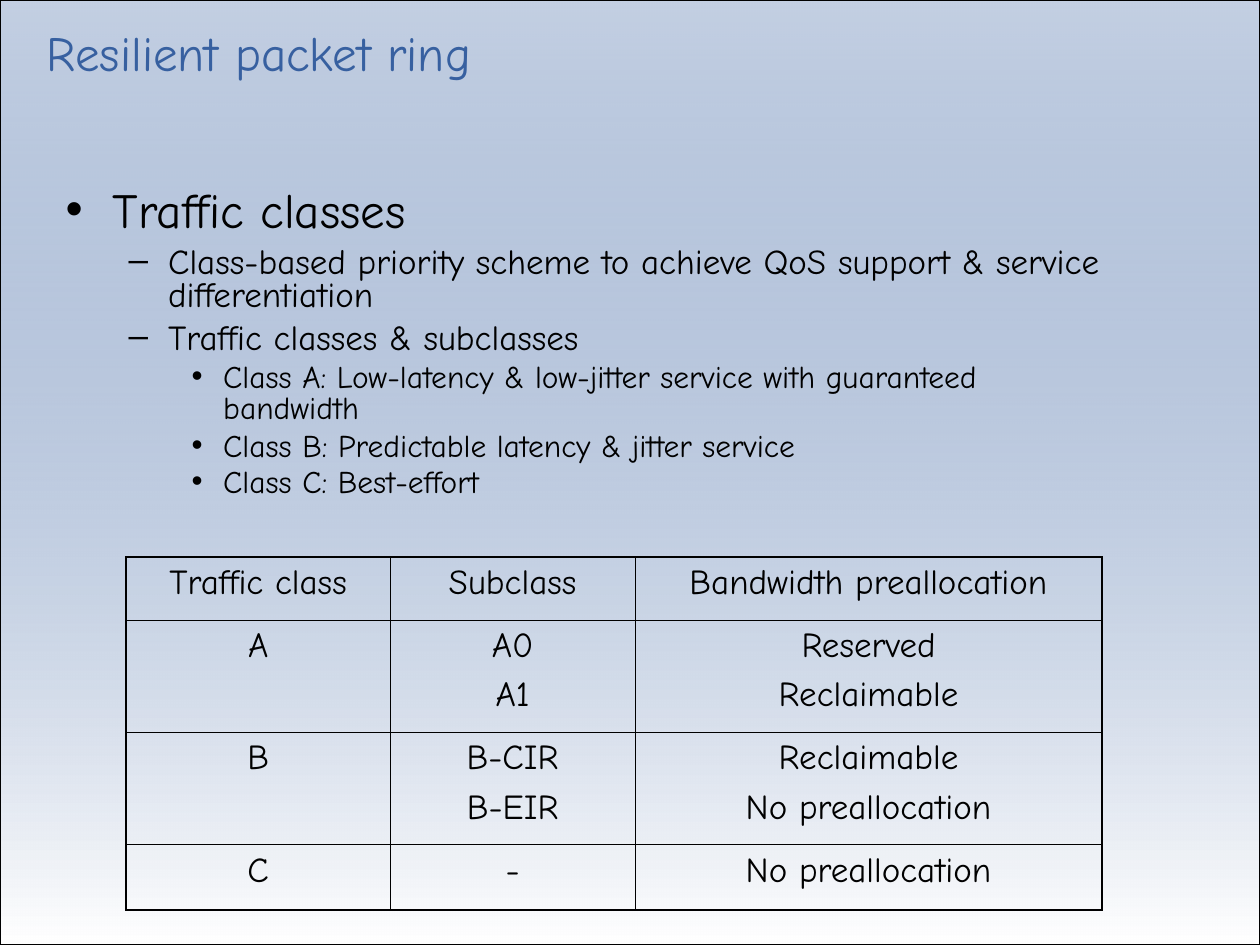
from pptx import Presentation
from pptx.dml.color import RGBColor
from pptx.enum.shapes import MSO_SHAPE as Shape
from pptx.enum.text import MSO_ANCHOR as Anchor, MSO_AUTO_SIZE as AutoSize, PP_ALIGN as Align
from pptx.oxml import parse_xml
from pptx.oxml.ns import nsdecls
from pptx.util import Cm, Pt

BLUE = RGBColor(0x37, 0x60, 0xA0)
BLACK = RGBColor(0, 0, 0)
WHITE = RGBColor(0xFF, 0xFF, 0xFF)

# level, space before in points, wording
TRAFFIC_POINTS = [
    (0, 0, "Traffic classes"),
    (1, 5, "Class-based priority scheme to achieve QoS support & service differentiation"),
    (1, 5, "Traffic classes & subclasses"),
    (2, 4.5, "Class A: Low-latency & low-jitter service with guaranteed bandwidth"),
    (2, 4.5, "Class B: Predictable latency & jitter service"),
    (2, 3.5, "Class C: Best-effort"),
]
TRAFFIC_TABLE = [
    [["Traffic class"], ["Subclass"], ["Bandwidth preallocation"]],
    [["A"], ["A0", "A1"], ["Reserved", "Reclaimable"]],
    [["B"], ["B-CIR", "B-EIR"], ["Reclaimable", "No preallocation"]],
    [["C"], ["-"], ["No preallocation"]],
]


class SlideBuilder:
    font = "Comic Neue"
    title_size = 28
    level_sizes = (28, 20, 18)
    table_size = 20
    outer_line, inner_line = 1.08, 0.45

    def __init__(self, slide):
        self.slide = slide

    def add_text(self, paragraph, text, size, color=BLACK):
        run = paragraph.add_run()
        run.text = text
        run.font.name = self.font
        run.font.size = Pt(size)
        run.font.color.rgb = color

    def place(self, placeholder, left, top, width, height):
        """Move a placeholder and return its text frame."""
        placeholder.left, placeholder.top = Cm(left), Cm(top)
        placeholder.width, placeholder.height = Cm(width), Cm(height)
        frame = placeholder.text_frame
        frame.word_wrap = True
        frame.auto_size = AutoSize.NONE
        return frame

    def backdrop(self, width, height):
        panel = self.slide.shapes.add_shape(Shape.RECTANGLE, 0, 0, width, height)
        panel.shadow.inherit = False
        panel.line.color.rgb = BLACK
        panel.line.width = Pt(0.75)
        panel.fill.gradient()
        panel.fill.gradient_angle = 270
        top, bottom = panel.fill.gradient_stops
        top.color.rgb, top.position = BLUE, 0
        bottom.color.rgb, bottom.position = WHITE, 1
        blue = panel.element.find(".//" + "{http://schemas.openxmlformats.org/drawingml/2006/main}srgbClr")
        blue.append(parse_xml(f'<a:alpha {nsdecls("a")} val="30000"/>'))
        self.slide.shapes.element.insert(2, panel.element)  # behind the placeholders

    def title(self, text, *box):
        frame = self.place(self.slide.shapes.title, *box)
        frame.vertical_anchor = Anchor.MIDDLE
        heading = frame.paragraphs[0]
        heading.alignment = Align.LEFT
        heading.line_spacing = 0.9
        self.add_text(heading, text, self.title_size, BLUE)

    def bullets(self, points, *box):
        frame = self.place(self.slide.placeholders[1], *box)
        for index, (level, before, text) in enumerate(points):
            point = frame.add_paragraph() if index else frame.paragraphs[0]
            point.level = level
            point.line_spacing = 0.8
            point.space_before = Pt(before)
            self.add_text(point, text, self.level_sizes[level])

    def table(self, rows, left, top, widths, heights):
        grid = self.slide.shapes.add_table(
            len(heights), len(widths), Cm(left), Cm(top), Cm(sum(widths)), Cm(sum(heights))
        ).table
        grid.first_row = grid.horz_banding = False
        for column, width in zip(grid.columns, widths):
            column.width = Cm(width)
        for row, height in zip(grid.rows, heights):
            row.height = Cm(height)
        last_row, last_column = len(heights) - 1, len(widths) - 1
        for r, row in enumerate(rows):
            for c, lines in enumerate(row):
                cell = grid.cell(r, c)
                self.fill_cell(cell, lines)
                self.cell_borders(cell, L=c == 0, R=c == last_column, T=r == 0, B=r == last_row)

    def fill_cell(self, cell, lines):
        cell.fill.background()
        for index, text in enumerate(lines):
            entry = cell.text_frame.add_paragraph() if index else cell.text_frame.paragraphs[0]
            entry.alignment = Align.CENTER
            if index:
                entry.space_before = Pt(5)
            self.add_text(entry, text, self.table_size)

    def cell_borders(self, cell, **outer_sides):
        """Draw all four borders, heavier on the sides flagged as outer."""
        properties = cell._tc.get_or_add_tcPr()
        for index, (side, outer) in enumerate(outer_sides.items()):
            width = Pt(self.outer_line if outer else self.inner_line)
            properties.insert(index, parse_xml(
                f'<a:ln{side} {nsdecls("a")} w="{width}"><a:solidFill>'
                f'<a:srgbClr val="{BLACK}"/></a:solidFill></a:ln{side}>'
            ))


def main():
    deck = Presentation()
    deck.slide_width, deck.slide_height = Cm(25.4), Cm(19.05)
    builder = SlideBuilder(deck.slides.add_slide(deck.slide_layouts[1]))
    builder.backdrop(deck.slide_width, deck.slide_height)
    builder.title("Resilient packet ring", 0.69, 0.53, 17.6, 1.19)
    builder.bullets(TRAFFIC_POINTS, 1.07, 3.73, 21.59, 7.01)
    builder.table(TRAFFIC_TABLE, 2.54, 11.23,
                  widths=(5.33, 4.93, 9.42), heights=(1.27, 2.26, 2.26, 1.32))
    deck.save("out.pptx")


if __name__ == "__main__":
    main()
